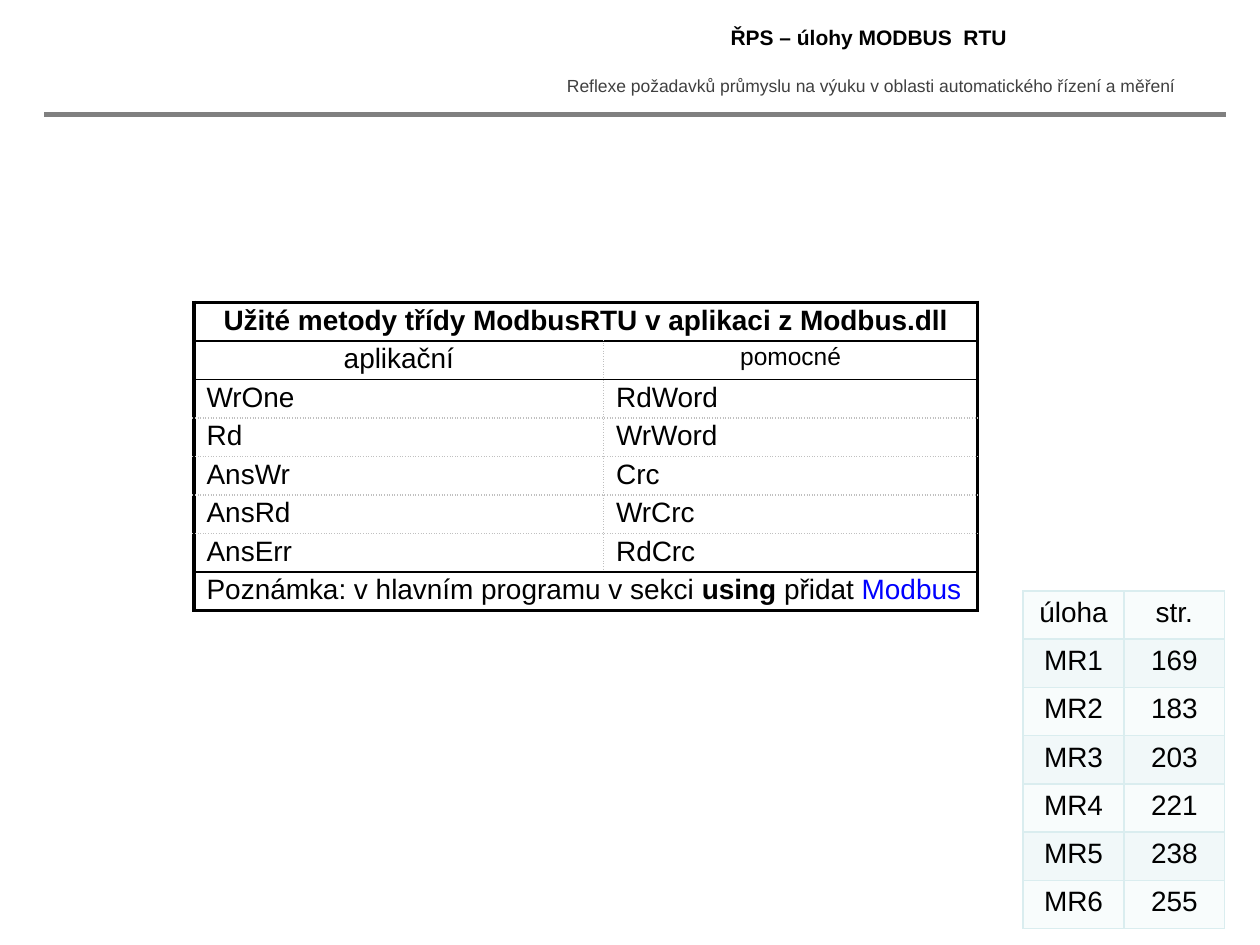
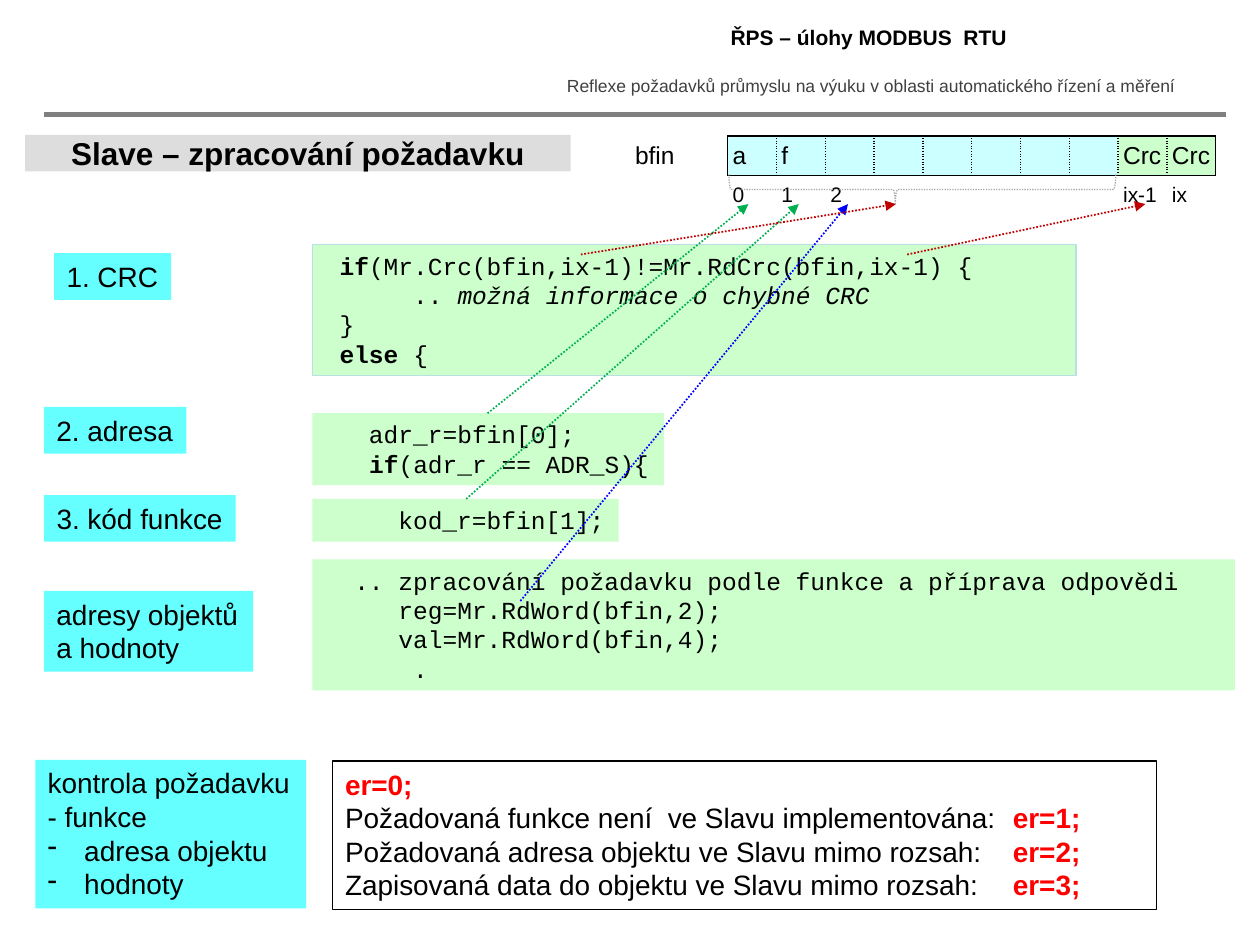
from dataclasses import dataclass, field
from typing import Any, NamedTuple, Optional

from lxml import etree
from pptx import Presentation
from pptx import util as u
from pptx.dml.color import RGBColor
from pptx.enum import dml, shapes, text
from pptx.oxml.ns import qn

SLIDE_WIDTH, SLIDE_HEIGHT = u.Inches(10), u.Inches(7.5)
COLUMN, ROW = SLIDE_WIDTH / 100, SLIDE_HEIGHT / 75
TITLE_ONLY_LAYOUT = 5
PLAIN_TABLE_STYLE = "{2D5ABB26-0587-4C30-8999-92F81FD0307C}"

COLORS = {
    "black": "000000", "subtitle": "404040", "rule": "808080", "heading": "DDDDDD",
    "step": "66FFFF", "code": "CCFFCC", "code_edge": "BBE0E3", "data": "CCFFFF",
    "dotted": "C0C0C0", "brace": "A6A6A6", "blue": "0000FF", "green": "00B050",
    "dark_red": "C00000", "red": "FF0000", "page_edge": "DAEDEF",
    "page_light": "F8FCFC", "page_dark": "F1F8F9",
}
BODY = {"name": "Arial", "size": u.Pt(16), "bold": False, "color": "black"}
MEDIUM = BODY | {"size": u.Pt(14)}
SMALL = BODY | {"size": u.Pt(12)}
TITLE = SMALL | {"bold": True}
SUBTITLE = BODY | {"size": u.Pt(10), "color": "subtitle"}
HEADING = BODY | {"size": u.Pt(18), "bold": True}
CODE = MEDIUM | {"name": "Courier New"}
BOLD = {"bold": True}
ERROR = {"bold": True, "color": "red"}
LEFT, CENTER = text.PP_ALIGN.LEFT, text.PP_ALIGN.CENTER


class Area(NamedTuple):
    """Place on the grid of 100 columns and 75 rows."""
    left: float
    top: float
    width: float
    height: float

    def lengths(self) -> tuple[int, ...]:
        return tuple(round(share * unit) for share, unit in zip(self, (COLUMN, ROW) * 2))


class Stroke(NamedTuple):
    color: str
    width: float = 1
    dotted: bool = False


class Run(NamedTuple):
    text: str
    changes: dict[str, Any] = {}


@dataclass
class Line:
    runs: list[Run]
    align: Any = LEFT
    bullet: str = ""
    tab: float = 0


@dataclass
class TextBox:
    area: Area
    lines: list[Line]
    style: dict[str, Any] = field(default_factory=lambda: BODY)
    fill: Optional[str] = None
    edge: Optional[Stroke] = None
    wrap: bool = True
    anchor: Any = text.MSO_ANCHOR.TOP


@dataclass
class Cell:
    line: Line
    style: dict[str, Any]
    edges: tuple[Optional[Stroke], ...]  # left, right, top, bottom
    fill: Optional[str] = None
    span: int = 1


class Arrow(NamedTuple):
    start: tuple[float, float]
    end: tuple[float, float]
    color: str


def plain(words: str, align: Any = LEFT) -> Line:
    return Line([Run(words)], align)


def rgb(name: str) -> RGBColor:
    return RGBColor.from_string(COLORS[name])


def apply_format(font: Any, values: dict[str, Any]) -> None:
    for name, value in values.items():
        if name == "color":
            font.color.rgb = rgb(value)
        else:
            setattr(font, name, value)


def write_lines(frame: Any, lines: list[Line], style: dict[str, Any]) -> None:
    for index, line in enumerate(lines):
        paragraph = frame.add_paragraph() if index else frame.paragraphs[0]
        paragraph.alignment = line.align
        properties = paragraph._p.get_or_add_pPr()
        if line.bullet:
            indent = round(2.9 * COLUMN)
            properties.set("marL", str(indent))
            properties.set("indent", str(-indent))
            etree.SubElement(properties, qn("a:buChar"), char=line.bullet)
        if line.tab:
            tabs = etree.SubElement(properties, qn("a:tabLst"))
            etree.SubElement(tabs, qn("a:tab"), pos=str(round(line.tab * COLUMN)), algn="l")
        for part in line.runs:
            if part.text:
                run = paragraph.add_run()
                run.text = part.text
                apply_format(run.font, style | part.changes)
        end_size = str(round(style["size"].pt * 100))
        etree.SubElement(paragraph._p, qn("a:endParaRPr"), sz=end_size)


def apply_fill(fill: Any, color: Optional[str]) -> None:
    if color:
        fill.solid()
        fill.fore_color.rgb = rgb(color)
    else:
        fill.background()


def apply_stroke(line: Any, stroke: Optional[Stroke]) -> None:
    if stroke is None:
        line.fill.background()
        return
    line.color.rgb = rgb(stroke.color)
    line.width = u.Pt(stroke.width)
    if stroke.dotted:
        line.dash_style = dml.MSO_LINE.ROUND_DOT


def draw_text_box(slide: Any, box: TextBox) -> None:
    shape = slide.shapes.add_shape(shapes.MSO_SHAPE.RECTANGLE, *box.area.lengths())
    shape.shadow.inherit = False
    apply_fill(shape.fill, box.fill)
    apply_stroke(shape.line, box.edge)
    frame = shape.text_frame
    write_lines(frame, box.lines, box.style)
    frame.word_wrap = box.wrap
    frame.vertical_anchor = box.anchor
    if not box.wrap:
        frame.auto_size = text.MSO_AUTO_SIZE.SHAPE_TO_FIT_TEXT


def draw_line(slide: Any, start: tuple[float, float], end: tuple[float, float],
              stroke: Stroke, arrow: bool = False) -> None:
    ends = [round(share * unit) for share, unit in zip(start + end, (COLUMN, ROW) * 2)]
    connector = slide.shapes.add_connector(shapes.MSO_CONNECTOR.STRAIGHT, *ends)
    apply_stroke(connector.line, stroke)
    properties = connector._element.spPr
    if arrow:
        etree.SubElement(properties.find(qn("a:ln")), qn("a:tailEnd"), type="triangle")
    etree.SubElement(properties, qn("a:effectLst"))


def draw_cell_edges(cell: Any, edges: tuple[Optional[Stroke], ...]) -> None:
    properties = cell._tc.get_or_add_tcPr()
    for side, stroke in zip("LRTB", edges):
        width = u.Pt(stroke.width) if stroke else 0
        line = etree.SubElement(properties, qn(f"a:ln{side}"), w=str(int(width)))
        if stroke is None:
            etree.SubElement(line, qn("a:noFill"))
            continue
        fill = etree.SubElement(line, qn("a:solidFill"))
        etree.SubElement(fill, qn("a:srgbClr"), val=COLORS[stroke.color])
        etree.SubElement(line, qn("a:prstDash"), val="sysDot" if stroke.dotted else "solid")


def draw_table(slide: Any, area: Area, widths: list[float], rows: list[list[Cell]],
               margins: tuple[float, float], anchor: Any = text.MSO_ANCHOR.TOP) -> None:
    """Draw rows of equal height; margins are the side and the top inset in inches."""
    frame = slide.shapes.add_table(len(rows), len(widths), *area.lengths())
    table = frame.table
    table.first_row = table.horz_banding = False
    table._tbl.tblPr.find(qn("a:tableStyleId")).text = PLAIN_TABLE_STYLE
    for column, width in zip(table.columns, widths):
        column.width = round(width * COLUMN)
    side, top = (u.Inches(margin) for margin in margins)
    layout = {"margin_left": side, "margin_right": side, "margin_top": top,
              "margin_bottom": top, "vertical_anchor": anchor}
    for row_index, row in enumerate(rows):
        table.rows[row_index].height = round(area.height * ROW / len(rows))
        for column_index, content in enumerate(row):
            cell = table.cell(row_index, column_index)
            if content.span > 1:
                cell.merge(table.cell(row_index, column_index + content.span - 1))
            apply_format(cell, layout)
            draw_cell_edges(cell, content.edges)
            apply_fill(cell.fill, content.fill)
            write_lines(cell.text_frame, [content.line], content.style)


def add_slide(presentation: Any) -> Any:
    """Add a slide with the shared title, subtitle and rule."""
    slide = presentation.slides.add_slide(presentation.slide_layouts[TITLE_ONLY_LAYOUT])
    title = slide.shapes.title
    title.left, title.top, title.width, title.height = Area(42.8, 1.4, 52.3, 3.1).lengths()
    title.text_frame.auto_size = text.MSO_AUTO_SIZE.NONE
    title.text_frame.vertical_anchor = text.MSO_ANCHOR.MIDDLE
    write_lines(title.text_frame, [plain("ŘPS – úlohy MODBUS  RTU", CENTER)], TITLE)
    subtitle = "Reflexe požadavků průmyslu na výuku v oblasti automatického řízení a měření"
    draw_text_box(slide, TextBox(Area(43, 5.5, 52.2, 2.7), [plain(subtitle, CENTER)], SUBTITLE))
    draw_line(slide, (3.5, 9.1), (97.3, 9.1), Stroke("rule", 3))
    return slide


def draw_methods_table(slide: Any) -> None:
    thick, thin, dotted = Stroke("black", 2.25), Stroke("black"), Stroke("dotted", 1, True)
    levels = [thick, thin, thin] + [dotted] * 4 + [thin, thick]
    methods = [("WrOne", "RdWord"), ("Rd", "WrWord"), ("AnsWr", "Crc"),
               ("AnsRd", "WrCrc"), ("AnsErr", "RdCrc")]
    heading = Line([Run("Užité metody třídy ModbusRTU v aplikaci z Modbus.dll", BOLD)], CENTER)
    note = Line([Run("Poznámka: v hlavním programu v sekci "), Run("using ", BOLD),
                 Run("přidat "), Run("Modbus", {"color": "blue"})])
    kinds = [plain("aplikační", CENTER), Line([Run("pomocné", {"size": u.Pt(14)})], CENTER)]
    content = [[heading], kinds, *([plain(name) for name in pair] for pair in methods), [note]]
    rows = []
    for lines, top, bottom in zip(content, levels, levels[1:]):
        if len(lines) == 1:
            rows.append([Cell(lines[0], BODY, (thick, thick, top, bottom), span=2)])
        else:
            rows.append([Cell(lines[0], BODY, (thick, dotted, top, bottom)),
                         Cell(lines[1], BODY, (dotted, thick, top, bottom))])
    draw_table(slide, Area(15.4, 24, 62.2, 24.5), [32.5, 29.7], rows, (0.1, 0.02))


def draw_pages_table(slide: Any) -> None:
    pages = [169, 183, 203, 221, 238, 255]
    content = [("úloha", "str.")] + [(f"MR{n}", str(page)) for n, page in enumerate(pages, 1)]
    edges = (Stroke("page_edge"),) * 4
    rows = [[Cell(plain(words, CENTER), BODY, edges, ("page_light", "page_dark")[index % 2])
             for words in pair] for index, pair in enumerate(content)]
    draw_table(slide, Area(81.2, 46.9, 16, 26.8), [8, 8], rows, (0.1, 0.05))


def draw_frame_table(slide: Any) -> None:
    """Draw the bytes of the message with their indexes below."""
    solid, dotted = Stroke("black"), Stroke("black", 1, True)
    labels = ["a", "f"] + [""] * 6 + ["Crc", "Crc"]
    indexes = ["", "0", "1", "2"] + [""] * 5 + ["ix-1", "ix"]
    last = len(labels) - 1
    data = [Cell(plain("bfin"), MEDIUM, (None, solid, None, None))]
    for position, label in enumerate(labels):
        edges = (dotted if position else solid, dotted if position < last else solid, solid, solid)
        data.append(Cell(plain(label), MEDIUM, edges, "code" if label == "Crc" else "data"))
    below = [Cell(plain(index), SMALL, (None, None, solid if position else None, None))
             for position, index in enumerate(indexes)]
    area = Area(50, 10.8, 46.5, 6.2)
    unit = area.width / (len(labels) + 2)
    draw_table(slide, area, [2 * unit] + [unit] * len(labels), [data, below],
               (0.04, 0.04), text.MSO_ANCHOR.MIDDLE)


def draw_brace(slide: Any) -> None:
    brace = slide.shapes.add_shape(shapes.MSO_SHAPE.RIGHT_BRACE,
                                   *Area(72, -0.3, 2.4, 30.7).lengths())
    brace.rotation = 90
    brace.adjustments[0], brace.adjustments[1] = 0.08, 0.57
    brace.shadow.inherit = False
    apply_fill(brace.fill, None)
    apply_stroke(brace.line, Stroke("brace", 0.75, True))


def build_methods_slide(presentation: Any) -> None:
    slide = add_slide(presentation)
    draw_methods_table(slide)
    draw_pages_table(slide)


def build_request_slide(presentation: Any) -> None:
    slide = add_slide(presentation)
    address_code = [plain("   adr_r=bfin[0];"),
                    Line([Run("   "), Run("if", BOLD), Run("(adr_r == ADR_S){")])]
    crc_code = [
        Line([Run(" "), Run("if", BOLD), Run("(Mr.Crc(bfin,ix-1)!=Mr.RdCrc(bfin,ix-1) {")]),
        Line([Run("      .. "), Run("možná informace o chybné CRC", {"italic": True})]),
        plain(" }"),
        Line([Run(" else ", BOLD), Run("{")]),
    ]
    reply_code = [plain(words) for words in (
        "  .. zpracování požadavku podle funkce a příprava odpovědi",
        "     reg=Mr.RdWord(bfin,2);", "     val=Mr.RdWord(bfin,4);", "      .")]
    code_boxes = [
        TextBox(Area(24.8, 32.8, 27.9, 5.7), address_code, CODE, "code", wrap=False),
        TextBox(Area(24.8, 19.4, 60.6, 10.4), crc_code, CODE, "code", Stroke("code_edge", 0.75)),
        TextBox(Area(24.8, 39.6, 24.3, 3.4), [plain("     kod_r=bfin[1];")], CODE, "code",
                wrap=False),
        TextBox(Area(24.8, 44.4, 73.2, 10.4), reply_code, CODE, "code"),
    ]
    checks = [plain("kontrola požadavku"), plain("- funkce"),
              *(Line([Run(words)], bullet="-") for words in ("adresa objektu", "hodnoty"))]
    steps = [
        (Area(4.3, 20.1, 9.3, 3.7), [plain("1. CRC")]),
        (Area(3.5, 32.3, 11.3, 3.7), [plain("2. adresa")]),
        (Area(3.5, 39.3, 15.2, 3.7), [plain("3. kód funkce")]),
        (Area(3.5, 46.9, 16.6, 6.4), [plain("adresy objektů"), plain("a hodnoty")]),
        (Area(2.8, 60.3, 21.5, 11.8), checks),
    ]
    step_boxes = [TextBox(area, lines, fill="step", wrap=False) for area, lines in steps]
    heading = TextBox(Area(2, 10.7, 43.3, 2.9), [plain("Slave – zpracování požadavku", CENTER)],
                      HEADING, "heading", anchor=text.MSO_ANCHOR.MIDDLE)
    causes = ["Požadovaná funkce není  ve Slavu implementována:",
              "Požadovaná adresa objektu ve Slavu mimo rozsah:",
              "Zapisovaná data do objektu ve Slavu mimo rozsah:"]
    errors = [Line([Run("er=0;", ERROR)])]
    errors += [Line([Run(f"{cause}\t"), Run(f"er={number};", ERROR)], tab=53)
               for number, cause in enumerate(causes, 1)]
    error_box = TextBox(Area(26.4, 60.4, 65.4, 11.8), errors, edge=Stroke("black", 0.75))
    for box in [*code_boxes, heading, *step_boxes, error_box]:
        draw_text_box(slide, box)
    draw_frame_table(slide)
    arrows = [
        Arrow((41.3, 47.7), (67.3, 16.2), "blue"),
        Arrow((37, 39.6), (63.4, 16.2), "green"),
        Arrow((38.7, 32.8), (59.4, 16.2), "green"),
        Arrow((72, 20.2), (90.9, 16.2), "dark_red"),
        Arrow((46.1, 20.2), (71.1, 16.2), "dark_red"),
    ]
    for arrow in arrows:
        draw_line(slide, arrow.start, arrow.end, Stroke(arrow.color, 1, True), arrow=True)
    draw_brace(slide)


def main() -> None:
    presentation = Presentation()
    presentation.slide_width, presentation.slide_height = SLIDE_WIDTH, SLIDE_HEIGHT
    build_methods_slide(presentation)
    build_request_slide(presentation)
    presentation.save("out.pptx")


if __name__ == "__main__":
    main()
